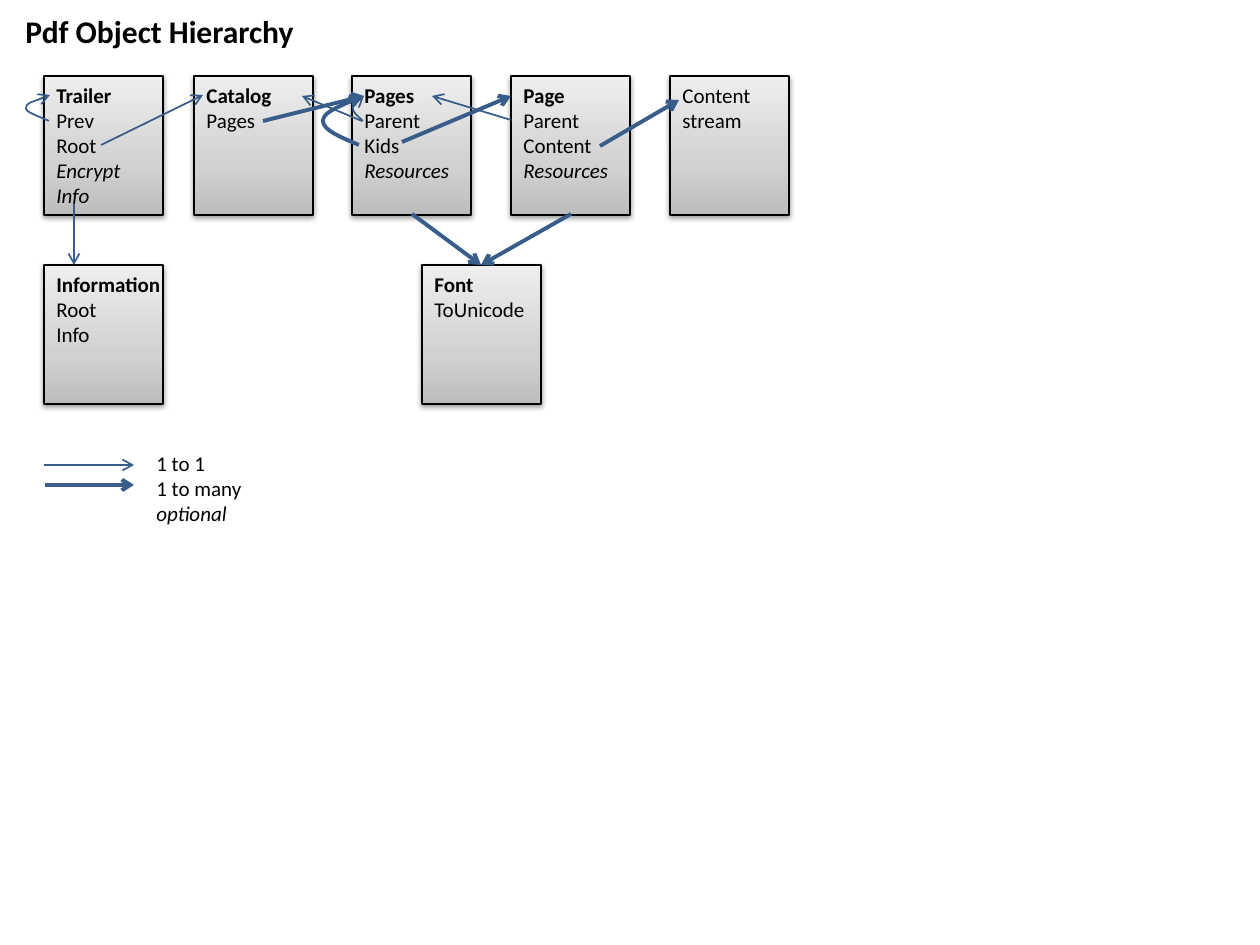
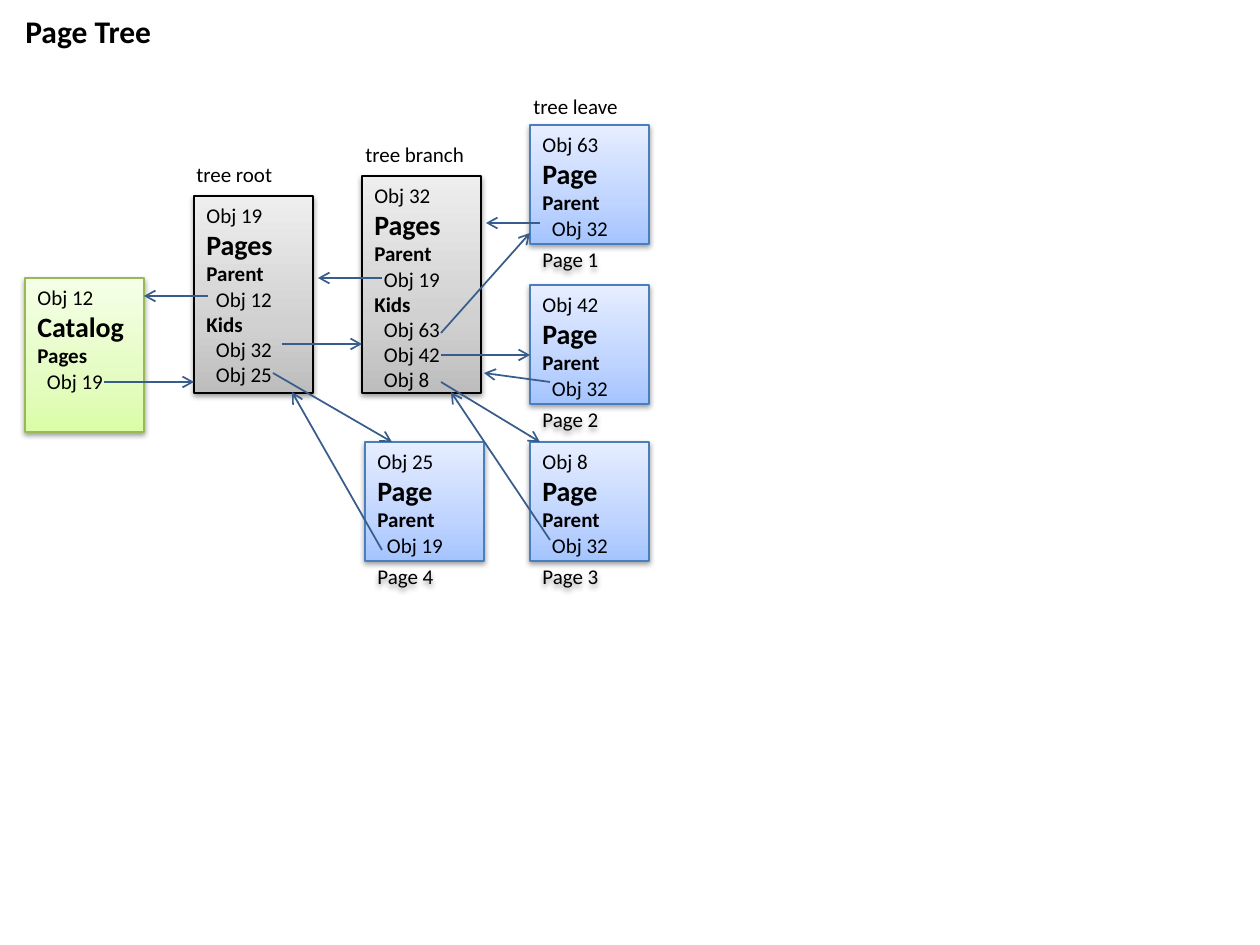
"""Build two slides that diagram the PDF object hierarchy and its page tree."""
from copy import deepcopy

from lxml import etree
from pptx import Presentation
from pptx import util as u
from pptx.dml import color
from pptx.enum import shapes, text
from pptx.oxml import ns

PIXEL = 914400 / 126
FONT = "Calibri"
ARROW_COLOR = "385D8A"
THIN, THICK = 1, 2.25
BOX_WIDTH, BOX_HEIGHT, PAGE_SIZE = 119, 139, 119
STOPS = (0, 0.35, 1)
PALETTES = {
    "gray": ("000000", ("BDBDBD", "D1D1D1", "EEEEEE")),
    "green": ("98B955", ("DAFDA7", "E4FCC2", "F5FFE7")),
    "blue": ("4B7EBC", ("A4C4FF", "BFD4FF", "E6EEFF")),
}
PLAIN = (12, False, False, 0, 0)
STYLES = {
    "!": (18, True, False, 0, 0),
    "#": (16, True, False, 0, 0),
    "*": (12, True, False, 0, 0),
    "/": (12, False, True, 0, 0),
    ">": (12, False, False, 9.5, 0),
    "+": (12, False, False, 0, 3.7),
}


def write(shape, lines):
    frame = shape.text_frame
    frame.text = "\n".join(line.lstrip("!#*/>+") for line in lines)
    frame.word_wrap = False
    frame.vertical_anchor = text.MSO_ANCHOR.TOP
    for paragraph, line in zip(frame.paragraphs, lines):
        size, bold, italic, indent, space = STYLES.get(line[0], PLAIN)
        paragraph.alignment = text.PP_ALIGN.LEFT
        paragraph.space_before = u.Pt(space)
        if indent:
            paragraph._p.get_or_add_pPr().set("marL", str(round(indent * PIXEL)))
        font = paragraph.runs[0].font
        font.name, font.size = FONT, u.Pt(size)
        font.bold, font.italic = bold, italic
        font.color.rgb = color.RGBColor.from_string("000000")


def style_arrow(shape, weight):
    shape.line.color.rgb = color.RGBColor.from_string(ARROW_COLOR)
    shape.line.width = u.Pt(weight)
    properties = shape.element.spPr
    line = properties.find(ns.qn("a:ln"))
    etree.SubElement(line, ns.qn("a:tailEnd"), type="arrow")
    etree.SubElement(properties, ns.qn("a:effectLst"))


hierarchy = {
    "labels": [
        (13, 6, 296, 50, ["!Pdf Object Hierarchy"]),
        (144, 444, 111, 89, ["1 to 1", "1 to many", "/optional"]),
    ],
    "boxes": [
        (left, top, BOX_HEIGHT, "gray", lines)
        for left, top, lines in [
            (44, 76, ["*Trailer", "Prev", "Root", "/Encrypt", "/Info"]),
            (194, 76, ["*Catalog", "Pages"]),
            (352, 76, ["*Pages", "Parent", "Kids", "/Resources"]),
            (511, 76, ["*Page", "Parent", "Content", "/Resources"]),
            (670, 76, ["Content", "stream"]),
            (44, 265, ["*Information", "Root", "Info"]),
            (422, 265, ["*Font", "ToUnicode"]),
        ]
    ],
    "curves": [
        (THIN, [(49, 121), (38, 116), (25, 112), (26, 108), (26, 103), (39, 100), (50, 95)]),
        (THICK, [(359, 145), (340, 137), (323, 130), (323, 121), (323, 113), (343, 105), (362, 96)]),
        (THIN, [(363, 121), (358, 116), (352, 112), (353, 108), (353, 105), (358, 100), (364, 96)]),
    ],
    "arrows": {
        THIN: [
            (101, 145, 203, 95),
            (362, 121, 302, 96),
            (511, 120, 432, 96),
            (74, 204, 74, 265),
            (44, 465, 134, 465),
        ],
        THICK: [
            (263, 121, 364, 96),
            (402, 142, 511, 96),
            (412, 214, 481, 265),
            (571, 214, 481, 265),
            (600, 146, 679, 100),
            (45, 485, 134, 485),
        ],
    },
}

pages = [(530, 125, 63, 32, 1), (530, 285, 42, 32, 2), (530, 442, 8, 32, 3), (365, 442, 25, 19, 4)]
page_tree = {
    "labels": [
        (13, 6, 152, 50, ["!Page Tree"]),
        (184, 155, 102, 38, ["tree root"]),
        (353, 135, 125, 38, ["tree branch"]),
        (521, 87, 111, 38, ["tree leave"]),
    ],
    "boxes": [
        (25, 278, 154, "green", ["Obj 12", "#Catalog", "*Pages", ">Obj 19"]),
        (194, 196, 197, "gray",
         ["Obj 19", "#Pages", "*Parent", ">Obj 12", "*Kids", ">Obj 32", ">Obj 25"]),
        (362, 176, 217, "gray",
         ["Obj 32", "#Pages", "*Parent", ">Obj 19", "*Kids", ">Obj 63", ">Obj 42", ">Obj 8"]),
    ] + [
        (left, top, PAGE_SIZE, "blue",
         [f"Obj {number}", "#Page", "*Parent", f">Obj {parent}", f"+Page {page}"])
        for left, top, number, parent, page in pages
    ],
    "curves": [],
    "arrows": {
        THIN: [
            (104, 382, 194, 382),
            (282, 344, 362, 344),
            (273, 373, 392, 442),
            (441, 333, 530, 233),
            (441, 355, 530, 355),
            (441, 382, 540, 442),
            (208, 296, 144, 296),
            (382, 278, 318, 278),
            (540, 223, 486, 223),
            (550, 382, 484, 373),
            (550, 540, 451, 392),
            (382, 550, 292, 392),
        ],
    },
}

presentation = Presentation()
presentation.slide_width = u.Inches(10)
presentation.slide_height = u.Inches(7.5)

for diagram in (hierarchy, page_tree):
    slide = presentation.slides.add_slide(presentation.slide_layouts[6])

    for *bounds, lines in diagram["labels"]:
        label = slide.shapes.add_textbox(*(round(value * PIXEL) for value in bounds))
        write(label, lines)
        label.text_frame.auto_size = text.MSO_AUTO_SIZE.SHAPE_TO_FIT_TEXT

    for left, top, height, palette, lines in diagram["boxes"]:
        bounds = (round(value * PIXEL) for value in (left, top, BOX_WIDTH, height))
        box = slide.shapes.add_shape(shapes.MSO_SHAPE.RECTANGLE, *bounds)
        outline, tones = PALETTES[palette]
        box.fill.gradient()
        box.fill.gradient_angle = 90
        stop_list = box.element.spPr.find(".//" + ns.qn("a:gsLst"))
        stop_list.append(deepcopy(stop_list[-1]))
        for stop, position, tone in zip(box.fill.gradient_stops, STOPS, tones):
            stop.position = position
            stop.color.rgb = color.RGBColor.from_string(tone)
        box.line.color.rgb = color.RGBColor.from_string(outline)
        box.line.width = u.Pt(0.75)
        box.shadow.inherit = False
        effects = box.element.spPr.find(ns.qn("a:effectLst"))
        shadow = etree.SubElement(effects, ns.qn("a:outerShdw"), blurRad="40000",
                                  dist="20000", dir="5400000", rotWithShape="0")
        shadow_color = etree.SubElement(shadow, ns.qn("a:srgbClr"), val="000000")
        etree.SubElement(shadow_color, ns.qn("a:alpha"), val="38000")
        write(box, lines)

    for weight, points in diagram["curves"]:
        builder = slide.shapes.build_freeform(*points[0], scale=PIXEL)
        builder.add_line_segments(points[1:], close=False)
        curve = builder.convert_to_shape()
        curve.fill.background()
        style_arrow(curve, weight)
        route = curve.element.spPr.find(".//" + ns.qn("a:path"))
        segments = route.findall(ns.qn("a:lnTo"))
        for start in range(0, len(segments), 3):
            bezier = etree.SubElement(route, ns.qn("a:cubicBezTo"))
            for segment in segments[start:start + 3]:
                bezier.append(segment[0])
                route.remove(segment)

    for weight, arrows in diagram["arrows"].items():
        for ends in arrows:
            arrow = slide.shapes.add_connector(
                shapes.MSO_CONNECTOR.STRAIGHT, *(round(value * PIXEL) for value in ends))
            style_arrow(arrow, weight)

presentation.save("out.pptx")
